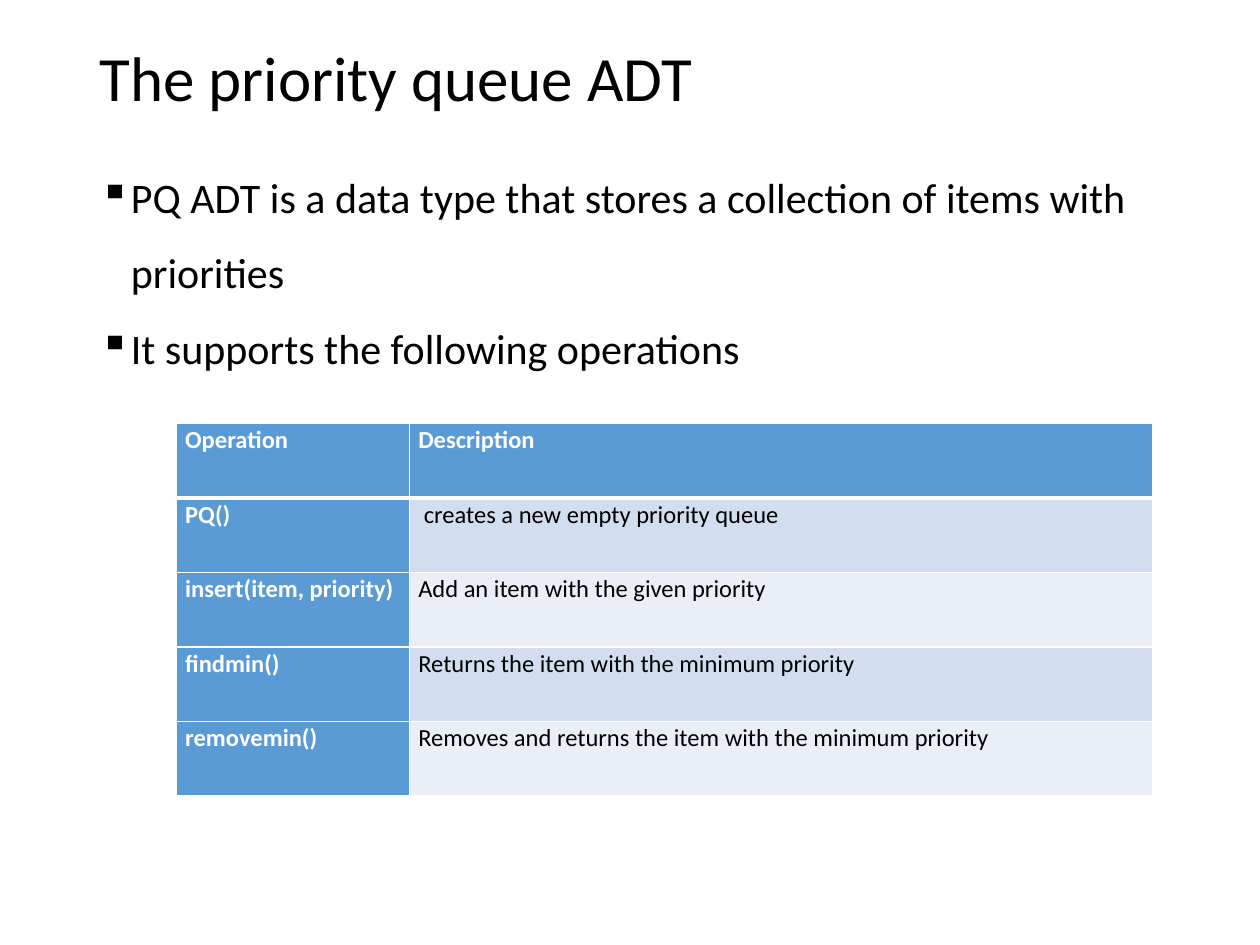
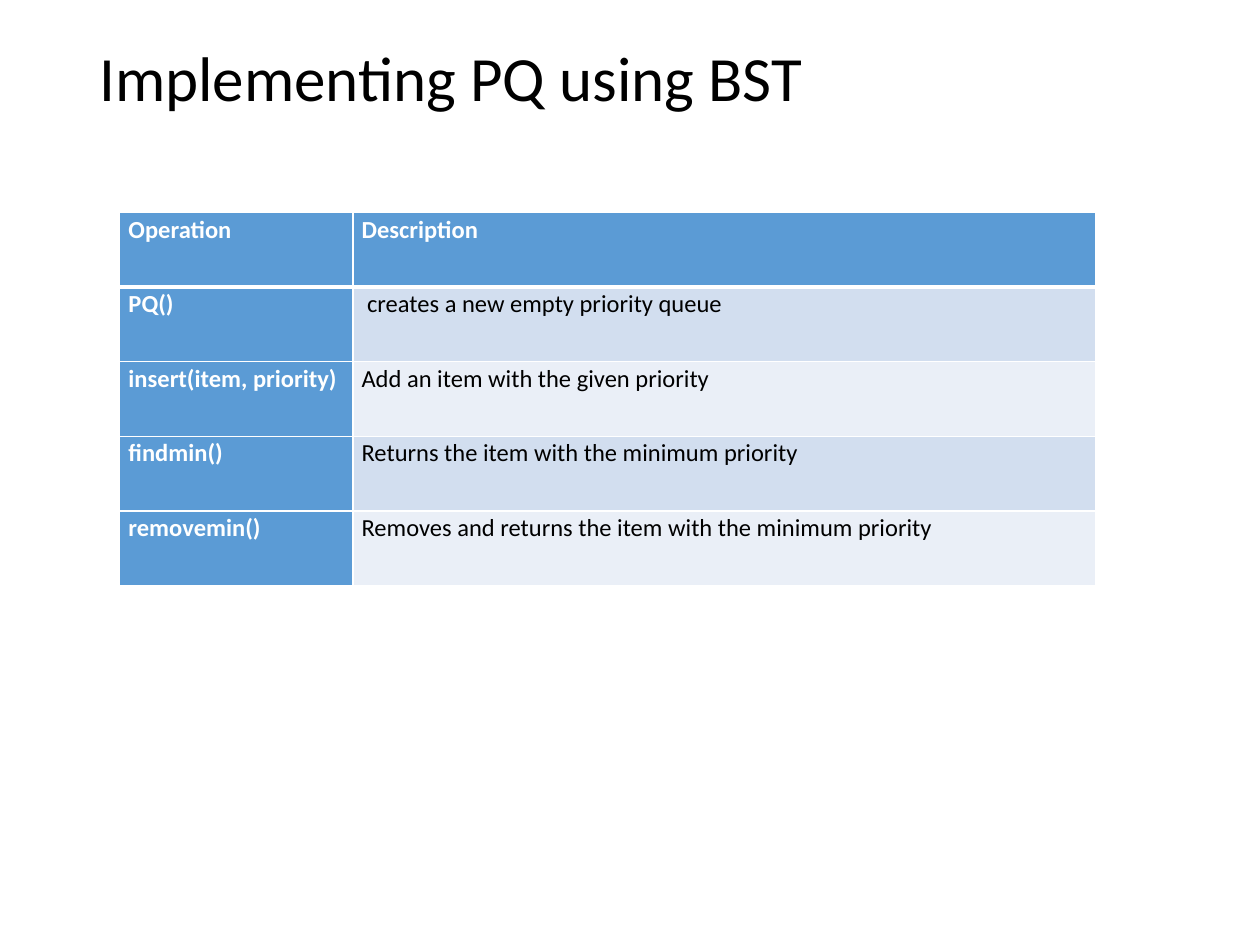
from dataclasses import dataclass

from lxml import etree
from pptx import Presentation
from pptx import util as u
from pptx.dml.color import RGBColor
from pptx.enum import text
from pptx.oxml import ns


@dataclass(frozen=True)
class Theme:
    font: str = "Calibri"
    ink: str = "000000"
    white: str = "FFFFFF"
    blue: str = "5B9BD5"
    bands: tuple = ("D2DEEF", "EAEFF7")
    title: int = 36
    body: int = 24
    cell: int = 14
    rule: int = 1
    thick: int = 3


theme = Theme()
deck = Presentation()
deck.slide_width, deck.slide_height = u.Inches(10), u.Inches(7.5)

# Lengths are percentages of the slide's width and height.
wide, high = deck.slide_width / 100, deck.slide_height / 100
left, span = 6.9, 86.2
cols = (18.5, 59)
row_high = 7.89
indent = u.Inches(0.25)

ops = [
    ("Operation", "Description"),
    ("PQ()", " creates a new empty priority queue"),
    ("insert(item, priority)", "Add an item with the given priority"),
    ("findmin()", "Returns the item with the minimum priority"),
    ("removemin()", "Removes and returns the item with the minimum priority"),
]
points = [
    "PQ ADT is a data type that stores a collection of items with priorities",
    "It supports the following operations",
]
pages = [
    # title, bullet points, left and top of the table
    ("The priority queue ADT", points, 14, 44.8),
    ("Implementing PQ using BST", [], 9.5, 22.5),
]


def write(frame, lines, size, color=theme.ink, bold=False, space=1.0, bullet=None):
    """Fill a text frame with one paragraph per line."""
    frame.word_wrap = True
    for i, line in enumerate(lines):
        para = frame.paragraphs[0] if i == 0 else frame.add_paragraph()
        para.line_spacing = space
        run = para.add_run()
        run.text = line
        font = run.font
        font.name, font.size, font.bold = theme.font, u.Pt(size), bold
        font.color.rgb = RGBColor.from_string(color)
        if bullet:
            props = para._p.get_or_add_pPr()
            props.set("marL", str(indent))
            props.set("indent", str(-indent))
            etree.SubElement(props, ns.qn("a:buChar"), char=bullet)


def edge(cell, **sides):
    """Draw white cell borders; each side (L, R, T, B) gives its width in points."""
    props = cell._tc.get_or_add_tcPr()
    for i, (side, width) in enumerate(sides.items()):
        line = etree.Element(ns.qn(f"a:ln{side}"), w=str(u.Pt(width)))
        fill = etree.SubElement(line, ns.qn("a:solidFill"))
        etree.SubElement(fill, ns.qn("a:srgbClr"), val=theme.white)
        props.insert(i, line)


for title, notes, tab_left, tab_top in pages:
    slide = deck.slides.add_slide(deck.slide_layouts[6])

    head = slide.shapes.add_textbox(
        int(left * wide), int(0.4 * high), int(span * wide), int(16.4 * high))
    head.text_frame.vertical_anchor = text.MSO_ANCHOR.MIDDLE
    write(head.text_frame, [title], theme.title, space=0.9)

    if notes:
        body = slide.shapes.add_textbox(
            int(left * wide), int(14.8 * high), int(span * wide), int(8.4 * high))
        write(body.text_frame, notes, theme.body, space=1.5, bullet="▪")

    grid = slide.shapes.add_table(
        len(ops), len(cols), int(tab_left * wide), int(tab_top * high),
        int(sum(cols) * wide), int(len(ops) * row_high * high)).table
    grid.horz_banding = False
    for col, width in zip(grid.columns, cols):
        col.width = int(width * wide)
    for r, words in enumerate(ops):
        grid.rows[r].height = int(row_high * high)
        for c, word in enumerate(words):
            cell = grid.cell(r, c)
            key = r == 0 or c == 0
            cell.margin_left = cell.margin_right = u.Inches(0.07)
            cell.margin_top = cell.margin_bottom = 0
            cell.fill.solid()
            cell.fill.fore_color.rgb = RGBColor.from_string(
                theme.blue if key else theme.bands[(r - 1) % 2])
            write(cell.text_frame, [word], theme.cell, bold=key, space=1.07,
                  color=theme.white if key else theme.ink)
            edge(cell, L=theme.rule, R=theme.rule,
                 T=theme.thick if r == 1 else theme.rule,
                 B=theme.thick if r == 0 else theme.rule)

deck.save("out.pptx")
